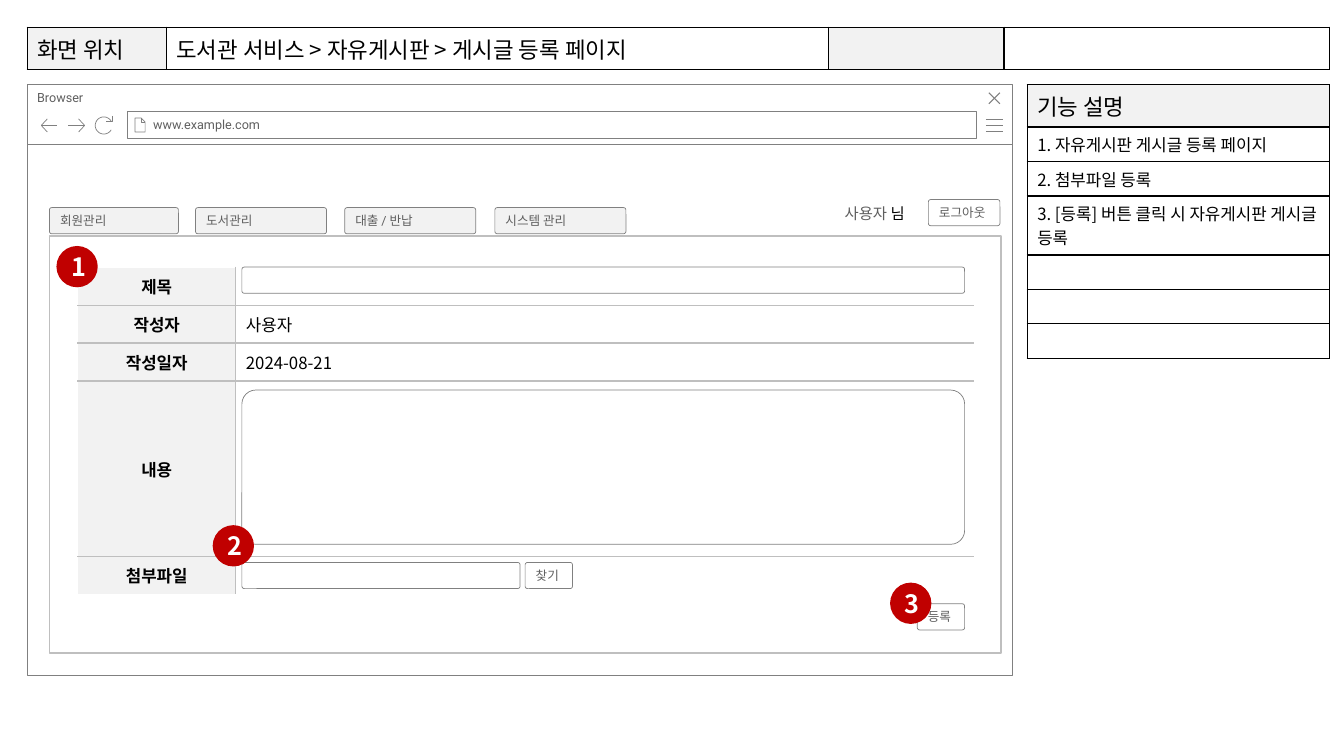
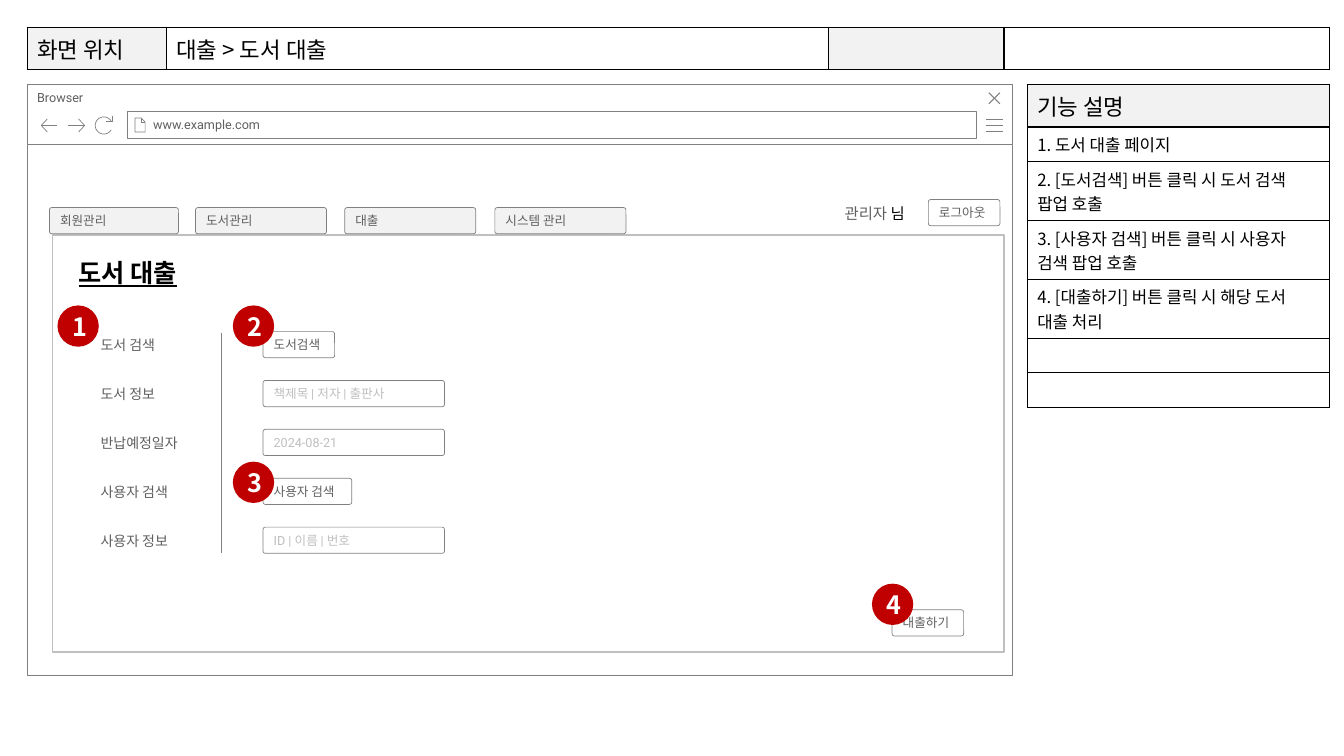
from math import cos, sin, radians
from lxml import etree
from pptx import Presentation
from pptx.dml.color import RGBColor
from pptx.enum.shapes import MSO_CONNECTOR as Link, MSO_SHAPE as Kind
from pptx.enum.text import MSO_ANCHOR as Anchor, MSO_AUTO_SIZE as Auto, PP_ALIGN as Align
from pptx.oxml.ns import qn
from pptx.util import Inches, Pt

SANS, KOREAN = "Roboto", "Noto Sans CJK KR"
BLACK, WHITE, GRAY, EDGE, PALE, SOFT, RED = (
    "000000", "FFFFFF", "5F5F5F", "808080", "BFBFBF", "F2F2F2", "C00000")
HEAD = (2.7, 2.7, 129.2, 4.2)
FRAME = (2.7, 8.4, 97.7, 58.6)
GUIDE = (101.9, 8.4, 30, 27)
NAV = (4.9, 19.8, 94.4, 3.4)


def cells(*counts):
    """Turn counts of 0.1 inch grid cells into lengths."""
    return [Inches(n / 10) for n in counts]


def inside(box, x, y, w, h):
    """Place a part relative to the corner of a box."""
    return box[0] + x, box[1] + y, w, h


def ink(code):
    """Turn a hex string into a colour."""
    return RGBColor.from_string(code)


def text(holder, words, size=9, color=GRAY, font=SANS, bold=False, under=False, align=Align.LEFT):
    """Add a formatted run to the first paragraph of a shape or cell."""
    para = holder.text_frame.paragraphs[0]
    para.alignment = align
    if not words:
        etree.SubElement(para._p, qn("a:endParaRPr"), sz=str(size * 100))
        return
    run = para.add_run()
    run.text = words
    face = run.font
    face.size, face.name, face.bold, face.underline = Pt(size), font, bold, under
    face.color.rgb = ink(color)
    etree.SubElement(run._r.get_or_add_rPr(), qn("a:ea"), typeface=KOREAN)


def fit(shape, anchor, inset):
    """Set the text margins and anchor of a shape."""
    frame = shape.text_frame
    frame.word_wrap, frame.auto_size, frame.vertical_anchor = True, Auto.NONE, anchor
    (frame.margin_left, frame.margin_top,
     frame.margin_right, frame.margin_bottom) = cells(*inset)


def stroke(shape, fill, line, width):
    """Set the fill and outline of a shape without shadow."""
    shape.shadow.inherit = False
    if fill:
        shape.fill.solid()
        shape.fill.fore_color.rgb = ink(fill)
    else:
        shape.fill.background()
    if line:
        shape.line.color.rgb, shape.line.width = ink(line), Pt(width)
    else:
        shape.line.fill.background()


def block(host, box, words="", kind=Kind.RECTANGLE, fill=WHITE, line=EDGE, width=0.5,
          anchor=Anchor.MIDDLE, inset=(1, 0.5, 1, 0.5), **style):
    """Draw a preset shape with optional text."""
    shape = host.shapes.add_shape(kind, *cells(*box))
    stroke(shape, fill, line, width)
    fit(shape, anchor, inset)
    if kind == Kind.ROUNDED_RECTANGLE:
        shape.adjustments[0] = 0.09
    if words:
        text(shape, words, **style)
    return shape


def field(slide, box, words="", **style):
    """Draw a rounded button, tab or input."""
    return block(slide, box, words, kind=Kind.ROUNDED_RECTANGLE, **style)


def badge(slide, x, y, number):
    """Draw a red numbered circle."""
    block(slide, (x, y, 4.1, 4.1), str(number), kind=Kind.OVAL, fill=RED, line=None,
          inset=(0.3, 0, 0, 0), size=18, color=WHITE, font=KOREAN, bold=True, align=Align.CENTER)


def label(slide, box, words, **style):
    """Add a plain text box."""
    shape = slide.shapes.add_textbox(*cells(*box))
    fit(shape, Anchor.TOP, (1, 0.5, 1, 0.5))
    text(shape, words, **style)
    return shape


def sketch(host, box, *strokes, width=0.5):
    """Draw open strokes, given as points relative to a box, as one outline."""
    paths = [[cells(box[0] + x, box[1] + y) for x, y in points] for points in strokes]
    pen = host.shapes.build_freeform(*paths[0][0], scale=1.0)
    for count, points in enumerate(paths):
        if count:
            pen.move_to(*points[0])
        pen.add_line_segments(points[1:], close=False)
    stroke(pen.convert_to_shape(), None, EDGE, width)


def border(cell, sides, color):
    """Draw 1 pt lines on the named sides of a cell."""
    props = cell._tc.get_or_add_tcPr()
    for place, side in enumerate(s for s in "LRTB" if s in sides):
        line = etree.Element(qn("a:ln" + side), w=str(Pt(1)))
        paint = etree.SubElement(line, qn("a:solidFill"))
        etree.SubElement(paint, qn("a:srgbClr"), val=color)
        props.insert(place, line)


def grid(slide, box, cols, rows, words, look):
    """Add a table whose cells are styled by look(row, column)."""
    table = slide.shapes.add_table(len(rows), len(cols), *cells(*box)).table
    table.first_row = table.horz_banding = False
    for col, width in zip(table.columns, cells(*cols)):
        col.width = width
    for row, height in zip(table.rows, cells(*rows)):
        row.height = height
    for r, line in enumerate(words):
        for c, word in enumerate(line):
            cell = table.cell(r, c)
            fill, sides, color, anchor, style = look(r, c)
            cell.fill.solid()
            cell.fill.fore_color.rgb = ink(fill)
            cell.vertical_anchor = anchor
            border(cell, sides, color)
            text(cell, word, color=BLACK, font=KOREAN, **style)


def head(slide, box, trail):
    """Add the strip that names the screen."""
    grid(slide, box, (13.8, 65.7, 17.4, 32.3), (box[3],), [["화면 위치", trail, "", ""]],
         lambda r, c: (WHITE if c % 2 else SOFT, "LRTB", BLACK, Anchor.TOP, {"size": 16}))


def guide(slide, box, notes):
    """Add the list of functions; long notes get two-line rows."""
    rows = [4.2] + [5.85 if len(note) > 22 else 3.42 for note in notes]
    grid(slide, box, (box[2],), rows, [["기능 설명"]] + [[note] for note in notes],
         lambda r, c: (WHITE if r else SOFT, "LRTB", BLACK, Anchor.TOP, {"size": 12 if r else 16}))


def browser(host, box):
    """Draw the browser window and its tool icons."""
    block(host, inside(box, 0, 5.9, box[2], box[3] - 5.9))
    block(host, inside(box, 0, 0, box[2], 5.9), "Browser", anchor=Anchor.TOP)
    sketch(host, box, *[[(95.1, y), (96.8, y)] for y in (3.4, 4, 4.6)])
    sketch(host, box, [(95.4, 0.8), (96.5, 1.9)], [(96.5, 0.8), (95.4, 1.9)], width=0.75)
    block(host, inside(box, 9.9, 2.7, 84.3, 2.6), "www.example.com", inset=(2.6, 0.5, 1, 0.5))
    sketch(host, box, [(11.3, 3.3), (11.3, 3.7), (11.7, 3.7)],
           [(11.3, 3.3), (10.7, 3.3), (10.7, 4.7), (11.7, 4.7), (11.7, 3.7), (11.3, 3.3)])
    for tip, tail, back in ((1.4, 3, 2), (5.7, 4, 5.1)):
        sketch(host, box, [(back, 3.4), (tip, 4.05), (back, 4.7)], [(tip, 4.05), (tail, 4.05)])
    ring = [(7.6 + 0.85 * cos(radians(a)), 4.05 + 0.85 * sin(radians(a)))
            for a in range(30, 331, 10)]
    sketch(host, box, ring, [(8.4, 3.1), (8.4, 3.6), (7.8, 3.6)])


def share(deck, slide):
    """Draw the browser once and move it to the slide master."""
    group = slide.shapes.add_group_shape()
    browser(group, FRAME)
    for count, name in enumerate(group.element.iter(qn("p:cNvPr"))):
        name.set("id", str(100 + count))
    deck.slide_master.shapes.element.append(group.element)


def nav(slide, box, tabs, user):
    """Draw the menu tabs, user name and logout button."""
    for x, word in zip((0, 14.5, 29.3, 44.2), tabs):
        field(slide, inside(box, x, 0.8, 13 if x else 12.8, 2.6), word, fill=SOFT)
    name = label(slide, inside(box, 77.9, 0, 9.9, 2.9), user + " ", size=11)
    text(name, "님", size=11, color=BLACK, font=KOREAN)
    field(slide, inside(box, 87.2, 0, 7.1, 2.6), "로그아웃")


def screen(deck, layout, trail, notes, tabs, user, box):
    """Add a slide with the shared parts and the panel outline."""
    slide = deck.slides.add_slide(deck.slide_layouts[layout])
    guide(slide, GUIDE, notes)
    head(slide, HEAD, trail)
    block(slide, box, fill=None, line=PALE, width=1)
    nav(slide, NAV, tabs, user)
    return slide


def post(slide, box):
    """Fill a panel with the form for a new post."""
    words = [["제목", ""], ["작성자", "사용자"], ["작성일자", "2024-08-21"],
             ["내용", ""], ["첨부파일", ""]]
    last = len(words) - 1

    def look(r, c):
        """Style the label column and the value column."""
        sides = ("L" if c else "R") + ("T" if r else "") + ("B" if r < last else "")
        style = {"size": 12, "bold": not c, "align": Align.LEFT if c else Align.CENTER}
        return WHITE if c else SOFT, sides, PALE, Anchor.MIDDLE, style

    grid(slide, inside(box, 2.8, 3.1, 88.9, 32.5), (15.7, 73.2),
         (3.77, 3.77, 3.77, 17.4, 3.77), words, look)
    badge(slide, *inside(box, 0.7, 1, 0, 0)[:2], 1)
    field(slide, inside(box, 86.1, 36.5, 4.7, 2.6), "등록")
    for y, w, h in ((3.1, 71.7, 2.6), (15.3, 71.7, 15.3), (32.4, 27.6, 2.6)):
        field(slide, inside(box, 19.1, y, w, h))
    field(slide, inside(box, 47.2, 32.4, 4.7, 2.6), "찾기")
    for number, x, y in ((2, 16.2, 28.7), (3, 83.4, 34.4)):
        badge(slide, *inside(box, x, y, 0, 0)[:2], number)


def loan(slide, box):
    """Fill a panel with the book loan form."""
    title = slide.shapes.title
    title.left, title.top, title.width, title.height = cells(*inside(box, 1.6, 1.7, 13, 4))
    fit(title, Anchor.TOP, (1, 0.5, 1, 0.5))
    text(title, "도서 대출", size=18, color=BLACK, font=KOREAN, bold=True, under=True)
    x, y = cells(*inside(box, 16.8, 9.7, 0, 0)[:2])
    rule = slide.shapes.add_connector(Link.STRAIGHT, x, y, x, y + Inches(2.19))
    rule.line.color.rgb, rule.line.width = ink(EDGE), Pt(0.5)
    etree.SubElement(rule.element.spPr, qn("a:effectLst"))
    lines = (("도서 검색", "도서검색", 7.1, GRAY),
             ("도서 정보", "책제목 | 저자 | 출판사", 18, PALE),
             ("반납예정일자", "2024-08-21", 18, PALE),
             ("사용자 검색", "사용자 검색", 8.8, GRAY),
             ("사용자 정보", "ID | 이름 | 번호", 18, PALE))
    for row, (name, words, width, color) in enumerate(lines):
        y = 9.6 + 4.85 * row
        label(slide, inside(box, 3.8, y, 11, 2.7), name, size=10)
        field(slide, inside(box, 20.9, y, width, 2.6), words, color=color)
    field(slide, inside(box, 83.3, 37.2, 7.1, 2.6), "대출하기")
    for number, x, y in ((1, 0.5, 7), (2, 17.9, 7), (3, 17.9, 22.5), (4, 81.3, 34.6)):
        badge(slide, *inside(box, x, y, 0, 0)[:2], number)


def main():
    """Build and save the deck."""
    deck = Presentation()
    deck.slide_width, deck.slide_height = cells(133.33, 75)
    panel = (4.9, 23.4, 94.4, 41.4)
    slide = screen(
        deck, 6, "도서관 서비스 > 자유게시판 > 게시글 등록 페이지",
        ("1. 자유게시판 게시글 등록 페이지", "2. 첨부파일 등록",
         "3. [등록] 버튼 클릭 시 자유게시판 게시글 등록", "", "", ""),
        ("회원관리", "도서관리", "대출 / 반납", "시스템 관리"), "사용자", panel)
    post(slide, panel)
    share(deck, slide)
    panel = (5.2, 23.3, 94.4, 41.4)
    slide = screen(
        deck, 5, "대출 > 도서 대출",
        ("1. 도서 대출 페이지", "2. [도서검색] 버튼 클릭 시 도서 검색 팝업 호출",
         "3. [사용자 검색] 버튼 클릭 시 사용자 검색 팝업 호출",
         "4. [대출하기] 버튼 클릭 시 해당 도서 대출 처리", "", ""),
        ("회원관리", "도서관리", "대출", "시스템 관리"), "관리자", panel)
    loan(slide, panel)
    deck.save("out.pptx")


if __name__ == "__main__":
    main()
